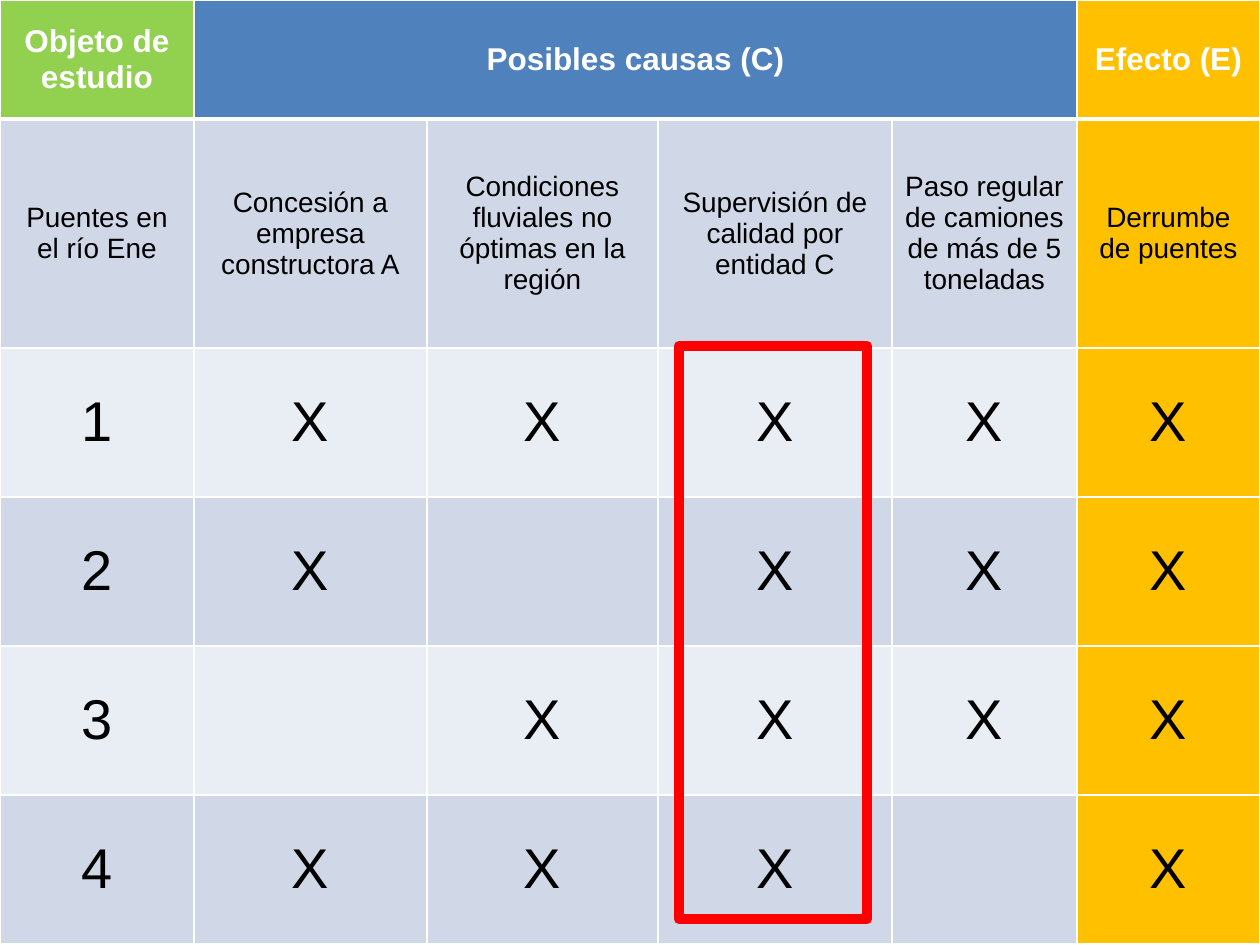
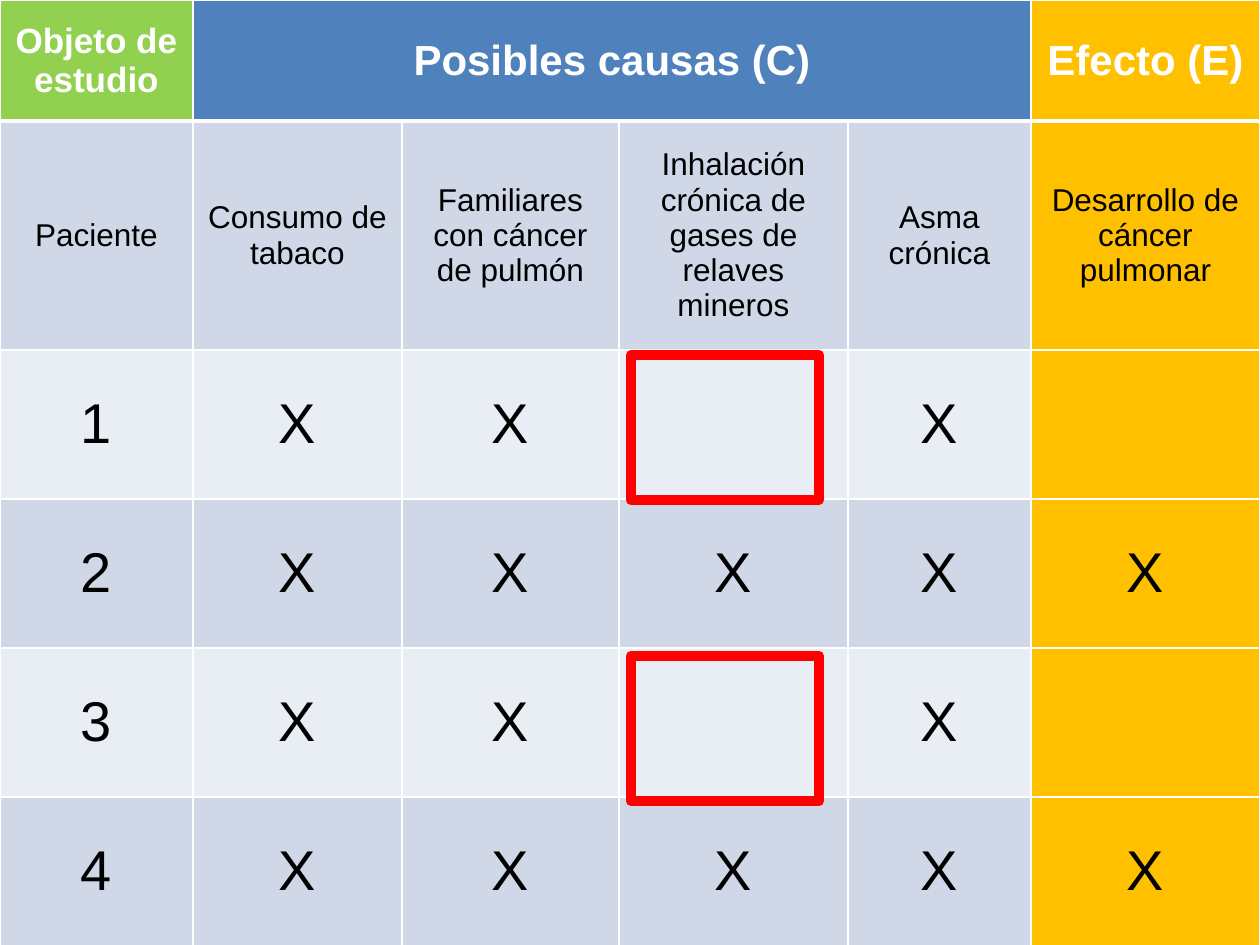
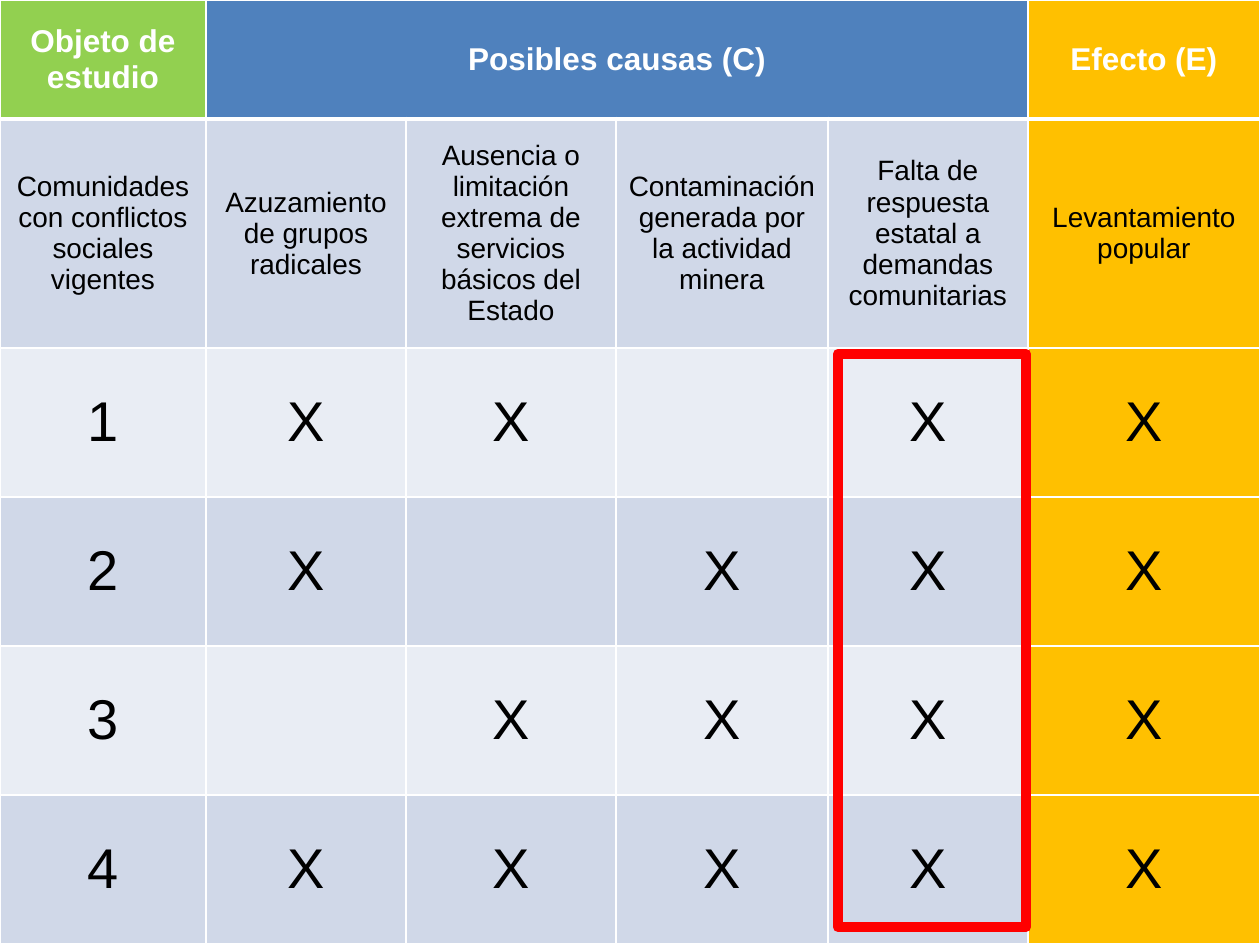
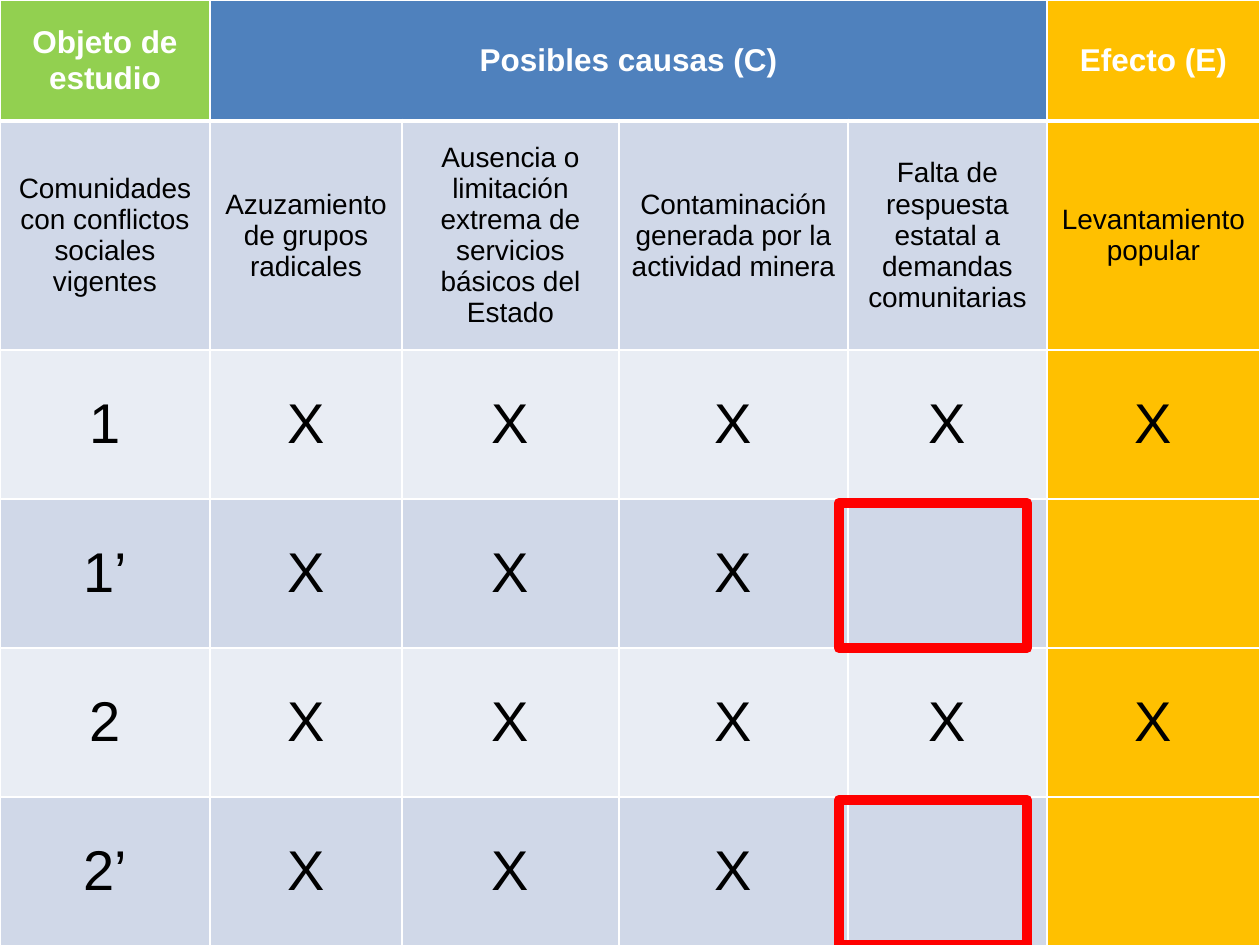
from dataclasses import dataclass
from itertools import product

from lxml import etree
from pptx import Presentation
from pptx.dml.color import RGBColor
from pptx.enum.shapes import MSO_SHAPE
from pptx.enum.text import MSO_ANCHOR, PP_ALIGN
from pptx.oxml.ns import qn
from pptx.util import Pt

RECTANGLE = MSO_SHAPE.RECTANGLE
MIDDLE = MSO_ANCHOR.MIDDLE
CENTER = PP_ALIGN.CENTER

# Content: columns are widths in px; in the rows "X" is a mark and "." an empty cell
HEADINGS = ("Objeto de estudio", "Posibles causas (C)", "", "", "", "Efecto (E)")
CONFLICT_LABELS = (
    "Comunidades con conflictos sociales vigentes",
    "Azuzamiento de grupos radicales",
    "Ausencia o limitación extrema de servicios básicos del Estado",
    "Contaminación generada por la actividad minera",
    "Falta de respuesta estatal a demandas comunitarias",
    "Levantamiento popular",
)
MATRICES = [
    {
        "labels": (
            "Puentes en el río Ene",
            "Concesión a empresa constructora A",
            "Condiciones fluviales no óptimas en la región",
            "Supervisión de calidad por entidad C",
            "Paso regular de camiones de más de 5 toneladas",
            "Derrumbe de puentes",
        ),
        "cases": [("1", "XXXXX"), ("2", "X.XXX"), ("3", ".XXXX"), ("4", "XXX.X")],
        "columns": (194, 233, 231, 234, 185, 183),
        "header_height": 119,
        "header_sizes": (18, 18, 18),
        "label_size": 16,
        "frames": [(679, 346, 573)],
    },
    {
        "labels": (
            "Paciente",
            "Consumo de tabaco",
            "Familiares con cáncer de pulmón",
            "Inhalación crónica de gases de relaves mineros",
            "Asma crónica",
            "Desarrollo de cáncer pulmonar",
        ),
        "cases": [("1", "XX.X."), ("2", "XXXXX"), ("3", "XX.X."), ("4", "XXXXX")],
        "columns": (193, 209, 217, 229, 183, 229),
        "header_height": 121,
        "header_sizes": (20, 24, 24),
        "label_size": 18,
        "frames": [(631, 355, 145), (631, 656, 145)],
    },
    {
        "labels": CONFLICT_LABELS,
        "cases": [("1", "XX.XX"), ("2", "X.XXX"), ("3", ".XXXX"), ("4", "XXXXX")],
        "columns": (206, 200, 210, 212, 200, 232),
        "header_height": 119,
        "header_sizes": (18, 18, 18),
        "label_size": 16,
        "frames": [(838, 354, 573)],
    },
    {
        "labels": CONFLICT_LABELS,
        "cases": [("1", "XXXXX"), ("1’", "XXX.."), ("2", "XXXXX"), ("2’", "XXX..")],
        "columns": (210, 192, 217, 229, 199, 213),
        "header_height": 121,
        "header_sizes": (18, 18, 18),
        "label_size": 16,
        "frames": [(839, 503, 145), (839, 800, 145)],
    },
]


@dataclass(frozen=True)
class Theme:
    font: str = "Arial"
    white: str = "FFFFFF"
    black: str = "000000"
    subject: str = "92D050"
    causes: str = "4F81BD"
    effect: str = "FFC000"
    bands: tuple = ("E9EDF4", "D0D8E8")
    frame: str = "FF0000"
    frame_width: int = 6
    mark_size: int = 32
    border: int = 1
    header_border: int = 3


THEME = Theme()

# Layout in px
SLIDE_WIDTH, SLIDE_HEIGHT = 1260, 945
LABEL_HEIGHT, CASE_HEIGHT = 229, 149
FRAME_WIDTH = 188
EMU_PER_INCH, PX_PER_INCH = 914400, 126


def px(length):
    return round(length * EMU_PER_INCH / PX_PER_INCH)


def color(value):
    return RGBColor.from_string(value)


def set_borders(cell, row):
    """Thin white borders, with a thick line between header and body."""
    properties = cell._tc.get_or_add_tcPr()
    thick = {0: "lnB", 1: "lnT"}.get(row)
    for side in ("lnL", "lnR", "lnT", "lnB"):
        width = THEME.header_border if side == thick else THEME.border
        line = etree.SubElement(properties, qn(f"a:{side}"), w=str(Pt(width)))
        fill = etree.SubElement(line, qn("a:solidFill"))
        etree.SubElement(fill, qn("a:srgbClr"), val=THEME.white)


def cell_fill(row, column):
    if column == len(HEADINGS) - 1:
        return THEME.effect
    if row == 0:
        return THEME.subject if column == 0 else THEME.causes
    return THEME.bands[row % 2]


def cell_size(matrix, row, column):
    if row == 0:
        subject, causes, effect = matrix["header_sizes"]
        return (subject, causes, causes, causes, causes, effect)[column]
    return matrix["label_size"] if row == 1 else THEME.mark_size


def style_cell(cell, text, size, fill, row):
    set_borders(cell, row)
    cell.fill.solid()
    cell.fill.fore_color.rgb = color(fill)
    cell.vertical_anchor = MIDDLE
    cell.text_frame.text = text
    paragraph = cell.text_frame.paragraphs[0]
    paragraph.alignment = CENTER
    for run in paragraph.runs:
        run.font.name = THEME.font
        run.font.size = Pt(size)
        run.font.bold = row == 0
        run.font.color.rgb = color(THEME.white if row == 0 else THEME.black)


def add_matrix(slide, matrix):
    cases = [(name, *marks.replace(".", " ")) for name, marks in matrix["cases"]]
    texts = [HEADINGS, matrix["labels"], *cases]
    heights = [matrix["header_height"], LABEL_HEIGHT] + [CASE_HEIGHT] * len(cases)
    widths = matrix["columns"]
    table = slide.shapes.add_table(
        len(heights), len(widths), 0, 0, px(sum(widths)), px(sum(heights))
    ).table
    for column, width in zip(table.columns, widths):
        column.width = px(width)
    for row, height in zip(table.rows, heights):
        row.height = px(height)
    table.cell(0, 1).merge(table.cell(0, 4))
    for row, column in product(range(len(heights)), range(len(widths))):
        style_cell(
            table.cell(row, column),
            texts[row][column].strip(),
            cell_size(matrix, row, column),
            cell_fill(row, column),
            row,
        )


def add_frame(slide, left, top, height):
    shape = slide.shapes.add_shape(
        RECTANGLE, px(left), px(top), px(FRAME_WIDTH), px(height)
    )
    shape.shadow.inherit = False
    shape.fill.background()
    shape.line.color.rgb = color(THEME.frame)
    shape.line.width = Pt(THEME.frame_width)


def main():
    presentation = Presentation()
    presentation.slide_width = px(SLIDE_WIDTH)
    presentation.slide_height = px(SLIDE_HEIGHT)
    blank_layout = presentation.slide_layouts[6]
    for matrix in MATRICES:
        slide = presentation.slides.add_slide(blank_layout)
        add_matrix(slide, matrix)
        for frame in matrix["frames"]:
            add_frame(slide, *frame)
    presentation.save("out.pptx")


if __name__ == "__main__":
    main()
